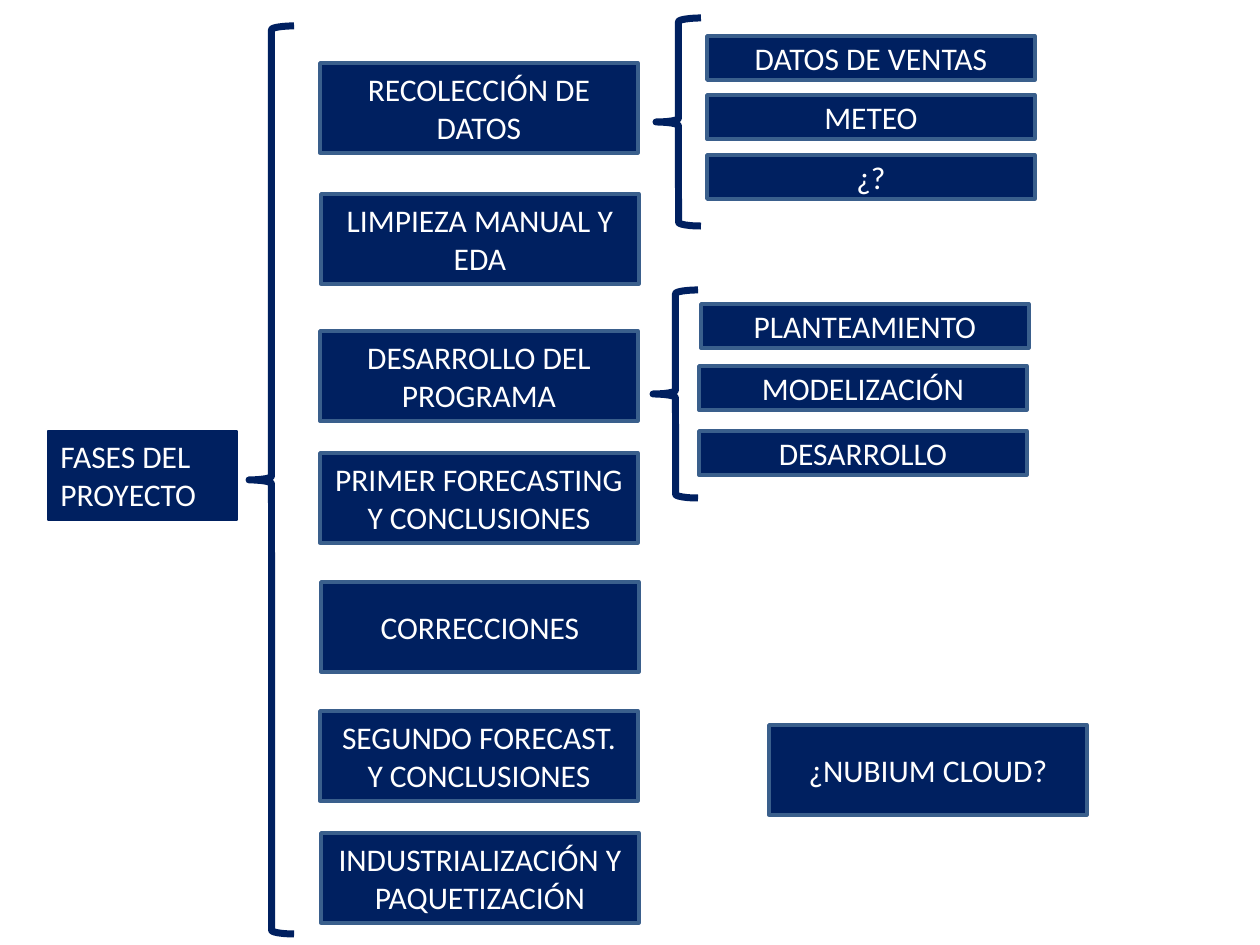
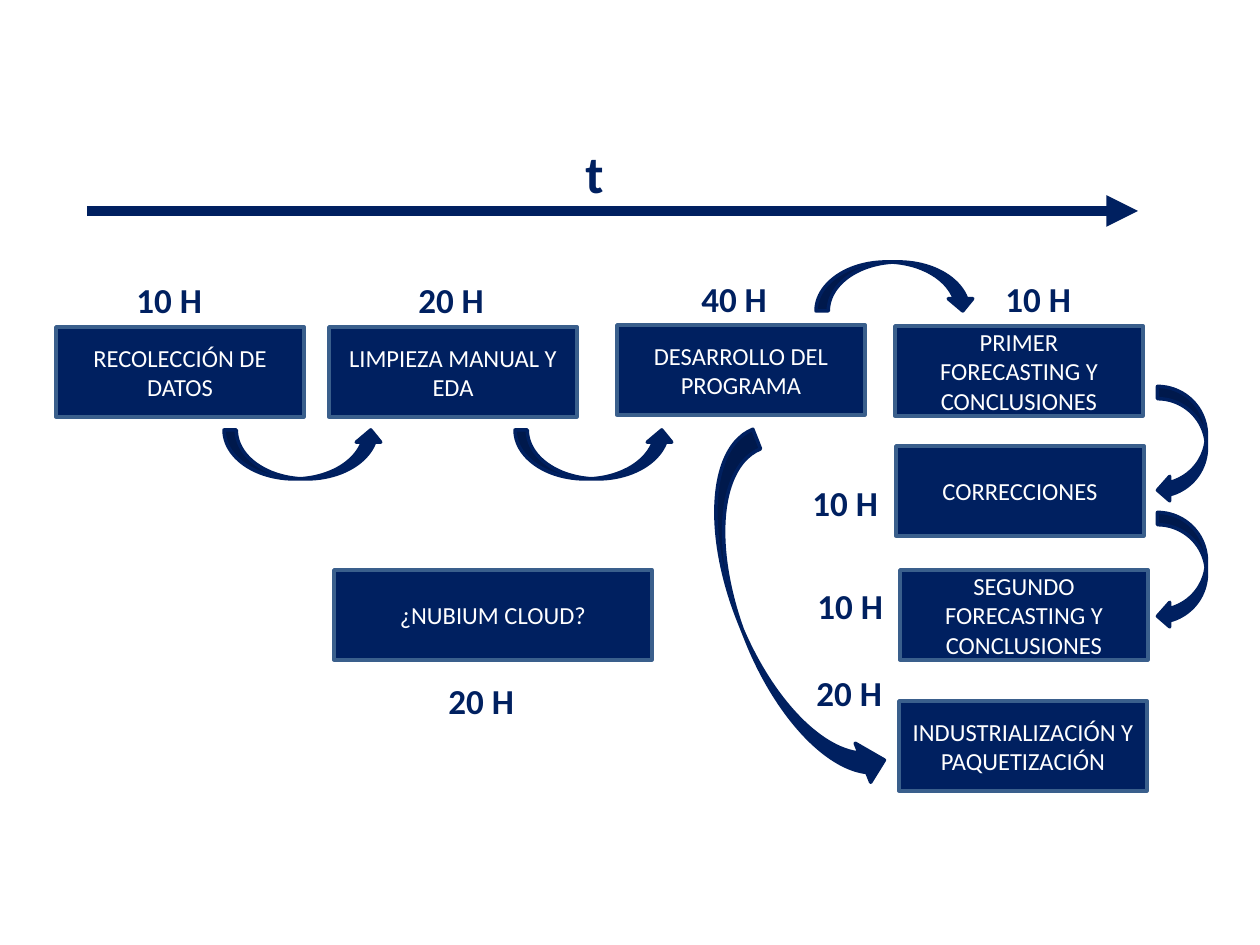
"""Build the project phases map and its timeline."""
from lxml import etree
from pptx import Presentation
from pptx.dml.color import RGBColor
from pptx.enum import shapes, text
from pptx.oxml.ns import qn
from pptx.util import Pt

NAVY = RGBColor(0x00, 0x20, 0x60)
STEEL = RGBColor(0x3A, 0x5F, 0x8C)
WHITE = RGBColor(0xFF, 0xFF, 0xFF)
FONT = "Calibri"
SCALE = 914400 / 126
KIND = shapes.MSO_SHAPE
CLOUD = "¿NUBIUM CLOUD?"
HIGH, LOW = 90, 44
WIDE, SLIM, SUB = 318, 248, 328

ROOT = ("FASES DEL PROYECTO", 48, 431)
PHASES = [
    ("RECOLECCIÓN DE DATOS", 320, 63),
    ("LIMPIEZA MANUAL Y EDA", 321, 194),
    ("DESARROLLO DEL PROGRAMA", 320, 331),
    ("PRIMER FORECASTING Y CONCLUSIONES", 320, 453),
    ("CORRECCIONES", 321, 582),
    ("SEGUNDO FORECAST. Y CONCLUSIONES", 320, 711),
    ("INDUSTRIALIZACIÓN Y PAQUETIZACIÓN", 321, 833),
    (CLOUD, 769, 725),
]
PARTS = [
    ("DATOS DE VENTAS", 707, 36),
    ("METEO", 707, 95),
    ("¿?", 707, 155),
    ("PLANTEAMIENTO", 701, 304),
    ("MODELIZACIÓN", 699, 366),
    ("DESARROLLO", 699, 431),
]
BRACES = [(249, 26, 908), (656, 18, 208), (653, 290, 208)]

STEPS = [
    ("RECOLECCIÓN DE DATOS", 56, 327),
    ("LIMPIEZA MANUAL Y EDA", 329, 327),
    ("DESARROLLO DEL PROGRAMA", 617, 325),
    ("PRIMER FORECASTING Y CONCLUSIONES", 895, 326),
    ("CORRECCIONES", 896, 446),
    ("SEGUNDO FORECASTING Y CONCLUSIONES", 900, 570),
    ("INDUSTRIALIZACIÓN Y PAQUETIZACIÓN", 899, 701),
]
HOURS = [
    ("10 H", 124, 272), ("20 H", 406, 272), ("40 H", 689, 271),
    ("10 H", 993, 271), ("10 H", 800, 475), ("10 H", 805, 578),
    ("20 H", 804, 665), ("20 H", 436, 673),
]
BENDS = [
    (224, 430, 159, 49, 0, ""),
    (515, 430, 159, 49, 0, ""),
    (816, 262, 159, 49, 0, "flipV"),
    (1124, 420, 116, 49, 270, "flipH"),
    (1124, 546, 116, 49, 270, "flipH"),
    (595, 578, 377, 84, 68.3, ""),
]


def px(*sizes):
    return [round(size * SCALE) for size in sizes]


def write(shape, words, size, color, bold=False):
    para = shape.text_frame.paragraphs[0]
    para.text = words
    font = para.font
    font.name, font.size, font.bold = FONT, Pt(size), bold
    font.color.rgb = color
    return para


def draw(slide, kind, place, edge=NAVY, thick=2, filled=True):
    shape = slide.shapes.add_shape(kind, *px(*place))
    shape.shadow.inherit = False
    if filled:
        shape.fill.solid()
        shape.fill.fore_color.rgb = NAVY
    else:
        shape.fill.background()
    shape.line.color.rgb = edge
    shape.line.width = Pt(thick)
    return shape


def box(slide, words, left, top, width, height, size):
    shape = draw(slide, KIND.RECTANGLE, (left, top, width, height), STEEL)
    shape.text_frame.vertical_anchor = text.MSO_ANCHOR.MIDDLE
    write(shape, words, size, WHITE).alignment = text.PP_ALIGN.CENTER


def label(slide, words, left, top, width, height, size):
    shape = slide.shapes.add_textbox(*px(left, top, width, height))
    shape.text_frame.word_wrap = False
    shape.text_frame.auto_size = text.MSO_AUTO_SIZE.SHAPE_TO_FIT_TEXT
    write(shape, words, size, NAVY, True)


def bend(slide, left, top, width, height, turn, flip):
    shape = draw(slide, KIND.CURVED_UP_ARROW, (left, top, width, height))
    shape.rotation = turn
    if flip:
        shape.element.spPr.find(qn("a:xfrm")).set(flip, "1")


def axis(slide, left, right, level):
    wire = slide.shapes.add_connector(
        shapes.MSO_CONNECTOR.STRAIGHT, *px(left, level, right, level))
    wire.line.color.rgb = NAVY
    wire.line.width = Pt(6)
    props = wire.element.spPr
    etree.SubElement(props.find(qn("a:ln")), qn("a:tailEnd"), type="triangle")
    etree.SubElement(props, qn("a:effectLst"))


def phases(slide):
    root = draw(slide, KIND.RECTANGLE, (*ROOT[1:], 189, 89), thick=1)
    root.text_frame.vertical_anchor = text.MSO_ANCHOR.TOP
    write(root, ROOT[0], 18, WHITE).alignment = text.PP_ALIGN.LEFT
    for item in PHASES:
        box(slide, *item, WIDE, HIGH, 18)
    for item in PARTS:
        box(slide, *item, SUB, LOW, 18)
    for left, top, height in BRACES:
        draw(slide, KIND.LEFT_BRACE, (left, top, 45, height), thick=4,
             filled=False)


def timeline(slide):
    for item in HOURS:
        label(slide, *item, 92, 55, 20)
    for item in STEPS:
        box(slide, *item, SLIM, HIGH, 14)
    box(slide, CLOUD, 334, 570, WIDE, HIGH, 14)
    for item in BENDS:
        bend(slide, *item)
    axis(slide, 87, 1138, 211)
    label(slide, "t", 573, 135, 44, 77, 30)


deck = Presentation()
deck.slide_width, deck.slide_height = px(1260, 945)
for fill in (phases, timeline):
    fill(deck.slides.add_slide(deck.slide_layouts[6]))
deck.save("out.pptx")
